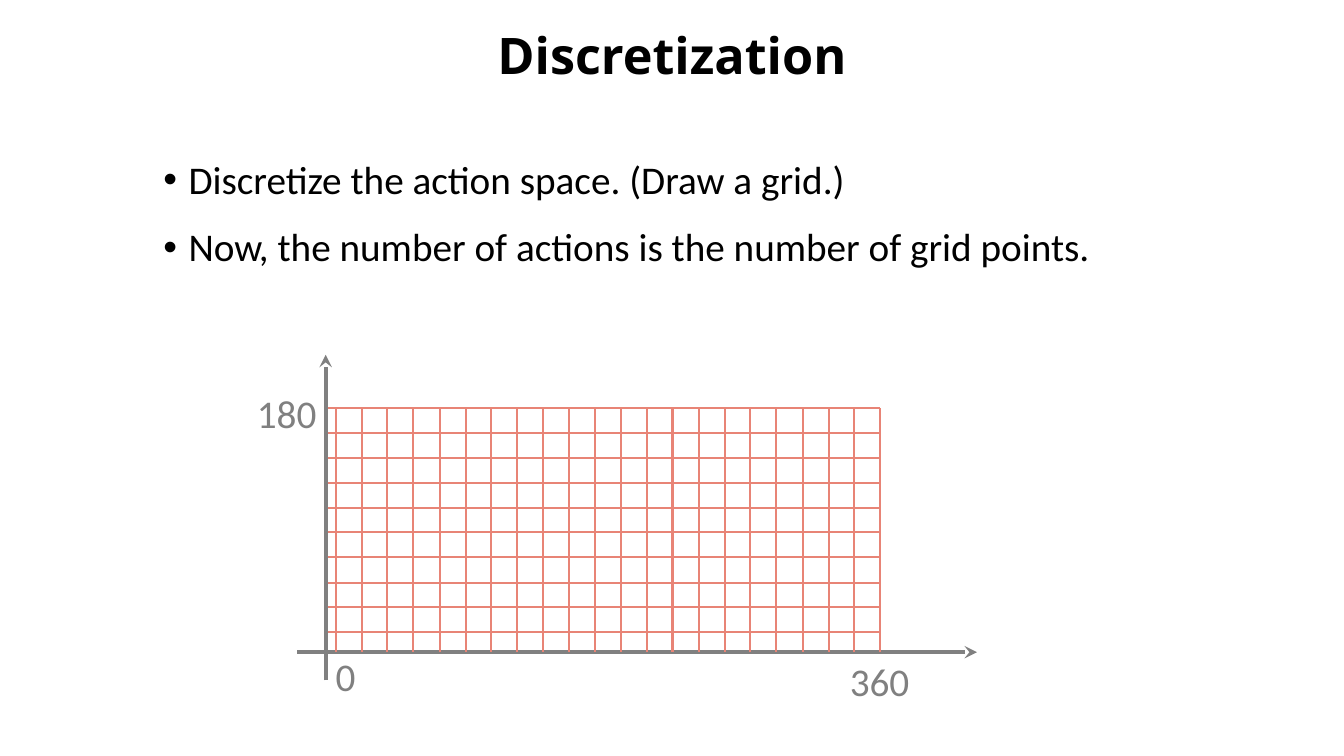
from dataclasses import dataclass
from pptx import Presentation, util as u
from pptx.dml.color import RGBColor
from pptx.enum import shapes, text
from pptx.oxml.xmlchemy import OxmlElement


@dataclass(frozen=True)
class Theme:
    ink: str = "000000"
    axis: str = "808080"
    grid: str = "E88476"
    head: str = "Open Sans"
    body: str = "Calibri"
    big: int = 36
    mid: int = 28
    thick: float = 3
    thin: float = 1.5


def px(n):
    return u.Emu(n * 9144)


def node(parent, tag, **attrs):
    item = OxmlElement(tag)
    for key, value in attrs.items():
        item.set(key, value)
    parent.append(item)


def write(para, words, font, size, color, bold=False, **form):
    for key, value in form.items():
        setattr(para, key, value)
    run = para.add_run()
    run.text = words
    run.font.name = font
    run.font.size = u.Pt(size)
    run.font.bold = bold
    run.font.color.rgb = RGBColor.from_string(color)


class Board:
    def __init__(self, deck, theme):
        self.theme = theme
        self.slide = deck.slides.add_slide(deck.slide_layouts[1])

    def place(self, holder, box, anchor):
        holder.left, holder.top, holder.width, holder.height = map(px, box)
        frame = holder.text_frame
        frame.auto_size = text.MSO_AUTO_SIZE.NONE
        frame.vertical_anchor = anchor
        return frame

    def title(self, words, box):
        t = self.theme
        frame = self.place(self.slide.shapes.title, box, text.MSO_ANCHOR.MIDDLE)
        write(frame.paragraphs[0], words, t.head, t.big, t.ink, bold=True,
              alignment=text.PP_ALIGN.CENTER, line_spacing=0.9)

    def bullets(self, items, box):
        t = self.theme
        frame = self.place(self.slide.placeholders[1], box, text.MSO_ANCHOR.TOP)
        for i, words in enumerate(items):
            para = frame.add_paragraph() if i else frame.paragraphs[0]
            write(para, words, t.body, t.mid, t.ink, line_spacing=0.9,
                  space_before=u.Pt(12), space_after=u.Pt(6))
            props = para._p.get_or_add_pPr()
            props.set("marL", str(px(25)))
            props.set("indent", str(px(-25)))
            node(props, "a:buFont", typeface="Arial")
            node(props, "a:buChar", char="•")

    def label(self, words, box):
        t = self.theme
        frame = self.slide.shapes.add_textbox(*map(px, box)).text_frame
        frame.word_wrap = False
        frame.auto_size = text.MSO_AUTO_SIZE.SHAPE_TO_FIT_TEXT
        write(frame.paragraphs[0], words, t.body, t.mid, t.axis)

    def line(self, ends, color, width, group=None, arrow=False):
        home = group.shapes if group else self.slide.shapes
        link = home.add_connector(shapes.MSO_CONNECTOR.STRAIGHT, *map(px, ends))
        link.line.color.rgb = RGBColor.from_string(color)
        link.line.width = u.Pt(width)
        if arrow:
            node(link.line._get_or_add_ln(), "a:tailEnd", type="stealth")
        node(link._element.spPr, "a:effectLst")

    def axes(self, *lines):
        group = self.slide.shapes.add_group_shape()
        for ends in lines:
            self.line(ends, self.theme.axis, self.theme.thick, group, True)

    def grid(self, left, right, top, base, first, low, cols, rows):
        t = self.theme
        for i in range(rows):
            y = round(top + i * (low - top) / (rows - 1))
            self.line((left, y, right, y), t.grid, t.thin)
        for i in range(cols):
            x = round(first + i * (right - first) / (cols - 1))
            self.line((x, base, x, top), t.grid, t.thin)


def main():
    deck = Presentation()
    deck.slide_width, deck.slide_height = u.Inches(13.33), u.Inches(7.5)
    board = Board(deck, Theme())
    board.title("Discretization", (0, 1, 1333, 113))
    board.axes((295, 647, 969, 647), (323, 675, 323, 352))
    board.label("0", (323, 642, 40, 57))
    board.label("360", (833, 647, 80, 57))
    board.label("180", (245, 381, 80, 57))
    board.grid(left=325, right=873, top=405, base=647,
               first=333, low=627, cols=22, rows=10)
    board.bullets(["Discretize the action space. (Draw a grid.)",
                   "Now, the number of actions is the number of grid points."],
                  (152, 154, 1029, 184))
    deck.save("out.pptx")


if __name__ == "__main__":
    main()
